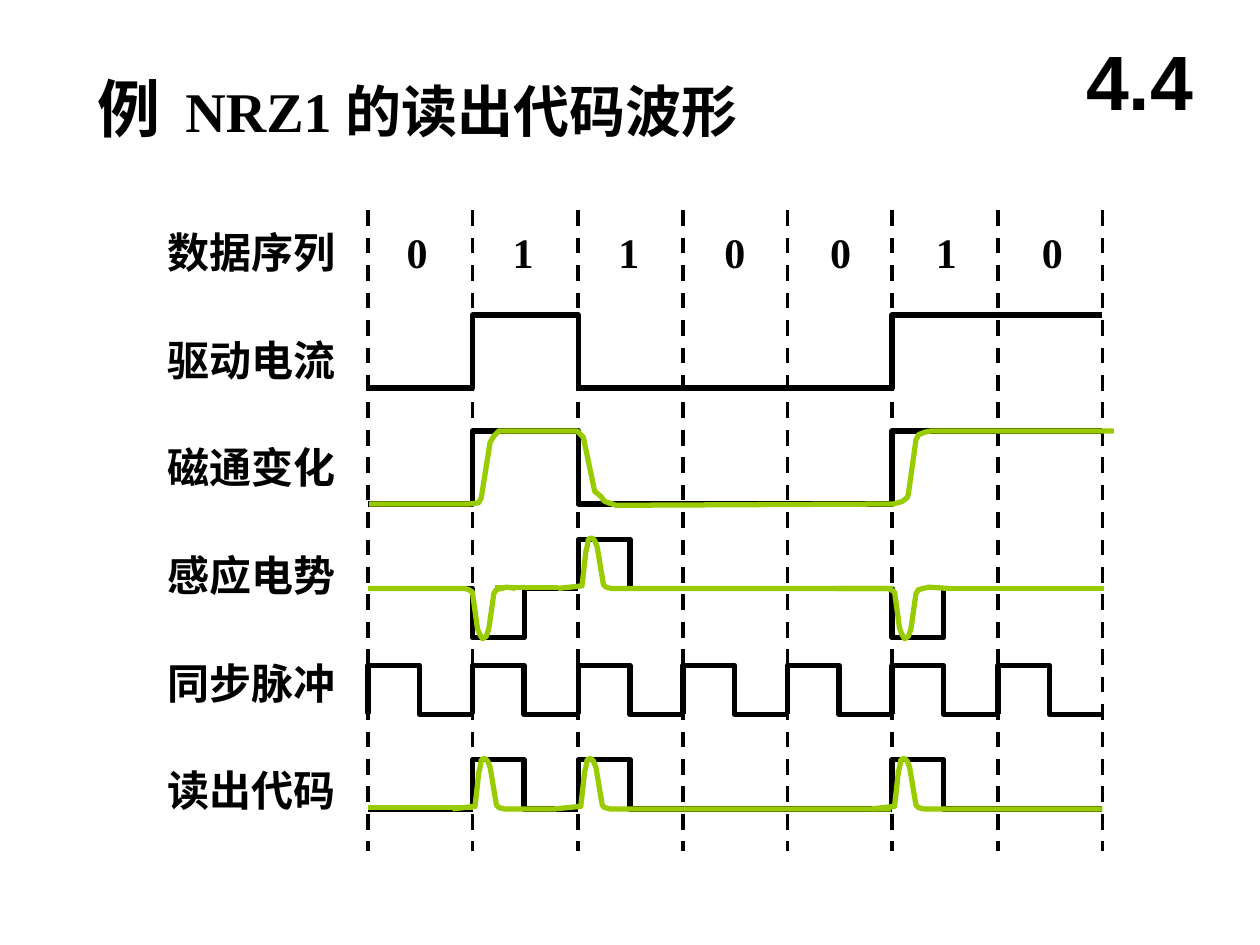
from pptx import Presentation
from pptx.dml.color import RGBColor
from pptx.enum.dml import MSO_LINE
from pptx.enum.shapes import MSO_CONNECTOR
from pptx.enum.text import MSO_ANCHOR, MSO_AUTO_SIZE, PP_ALIGN
from pptx.oxml.ns import qn
from pptx.util import Inches, Pt

BLACK = RGBColor(0x00, 0x00, 0x00)
GREEN = RGBColor(0x99, 0xCC, 0x00)

# Time grid: seven equal bit cells
LEFT, RIGHT, BITS = 2.92, 8.75, "0110010"
EDGES = [round(LEFT + (RIGHT - LEFT) * i / len(BITS), 2) for i in range(len(BITS) + 1)]
FIRST, SECOND, THIRD = EDGES[1], EDGES[2], EDGES[5]  # edges where the current flips
HALF = 0.41  # half a bit cell
PULSE = 0.39  # height of a square pulse

LABELS = ["数据序列", "驱动电流", "磁通变化", "感应电势", "同步脉冲", "读出代码"]
CURRENT_LOW, FLUX_LOW, SWING = 3.08, 4.0, 0.58
EMF_BASE, CLOCK_BASE, READ_BASE = 4.67, 5.67, 6.42

# Smooth pulses as offsets from a bit edge and from the base line
PEAK = [(0.02, -0.02), (0.05, -0.29), (0.06, -0.33), (0.07, -0.39), (0.1, -0.4),
        (0.12, -0.38), (0.14, -0.33), (0.19, -0.03), (0.21, -0.01), (0.25, 0)]
DIP = [(-0.04, 0), (-0.01, 0.01), (0.02, 0.03), (0.06, 0.32), (0.08, 0.37),
       (0.1, 0.4), (0.13, 0.38), (0.15, 0.32), (0.19, 0.04), (0.21, 0.01), (0.29, -0.01)]
FLUX = [(2.93, 4), (3.72, 4), (3.8, 3.99), (3.82, 3.95), (3.89, 3.51), (3.92, 3.46),
        (3.96, 3.42), (4.58, 3.42), (4.6, 3.44), (4.63, 3.47), (4.72, 3.9), (4.77, 3.94),
        (4.8, 3.98), (4.89, 4.01), (7.09, 4), (7.16, 3.98), (7.2, 3.95), (7.21, 3.92),
        (7.27, 3.49), (7.29, 3.45), (7.34, 3.43), (7.39, 3.42), (8.84, 3.42)]


class SlideBuilder:
    """Holds the style and the page being drawn."""

    serif, sans = "Times New Roman", "Arial"
    label_size, wave_width, grid_width = 24, 3, 2.25

    def __init__(self, page):
        self.page = page

    def fill_frame(self, frame, spans, font, align=PP_ALIGN.LEFT,
                   anchor=MSO_ANCHOR.TOP, wrap=True):
        layout = {"word_wrap": wrap, "auto_size": MSO_AUTO_SIZE.NONE, "vertical_anchor": anchor}
        for name, value in layout.items():
            setattr(frame, name, value)
        para = frame.paragraphs[0]
        para.alignment = align
        for text, size in spans:
            span = para.add_run()
            span.text = text
            for name, value in {"name": font, "size": Pt(size), "bold": True}.items():
                setattr(span.font, name, value)
            span.font.color.rgb = BLACK

    def title(self, spans, left, top, width, height):
        box = self.page.shapes.title
        place = {"left": left, "top": top, "width": width, "height": height}
        for name, value in place.items():
            setattr(box, name, Inches(value))
        self.fill_frame(box.text_frame, spans, self.serif)

    def text(self, text, left, top, width, height, size=label_size, font=serif, **layout):
        box = self.page.shapes.add_textbox(*map(Inches, (left, top, width, height)))
        self.fill_frame(box.text_frame, [(text, size)], font, **layout)

    def line(self, start, end, color=BLACK, width=wave_width, dash=None):
        line = self.page.shapes.add_connector(
            MSO_CONNECTOR.STRAIGHT, *map(Inches, (*start, *end)))
        line.line.color.rgb = color
        line.line.width = Pt(width)
        if dash:
            line.line.dash_style = dash
        properties = line._element.spPr
        properties.append(properties.makeelement(qn("a:effectLst"), {}))

    def wave(self, points, color=BLACK):
        points = [(Inches(x), Inches(y)) for x, y in points]
        builder = self.page.shapes.build_freeform(*points[0])
        builder.add_line_segments(points[1:], close=False)
        shape = builder.convert_to_shape()
        shape.fill.background()
        shape.line.color.rgb = color
        shape.line.width = Pt(self.wave_width)
        shape.shadow.inherit = False

    def square_pulse(self, start, edge, end, base, height=PULSE):
        top = base - height
        self.wave([(start, base), (edge, base), (edge, top), (edge + HALF, top),
                   (edge + HALF, base), (end, base)])

    def smooth_pulse(self, start, edge, end, base, shape):
        curve = [(edge + x, base + y) for x, y in shape]
        self.wave([(start, base), *curve, (end, base)], GREEN)


def level_wave(low):
    high = low - SWING
    return [(LEFT, low), (FIRST, low), (FIRST, high), (SECOND, high), (SECOND, low),
            (THIRD, low), (THIRD, high), (RIGHT, high)]


def main():
    deck = Presentation()
    deck.slide_width, deck.slide_height = Inches(10), Inches(7.5)
    slide = SlideBuilder(deck.slides.add_slide(deck.slide_layouts[5]))

    # Heading and section number
    slide.title([("例", 36), ("  NRZ1 的读出代码波形", 32)], 0.67, 0.5, 6.25, 0.7)
    slide.text("4.4", 8.42, 0.17, 1.25, 0.92, size=44, font=slide.sans,
               align=PP_ALIGN.CENTER, anchor=MSO_ANCHOR.MIDDLE)

    # Grid, row labels and data bits
    for x in EDGES:
        slide.line((x, 1.67), (x, 6.75), width=slide.grid_width, dash=MSO_LINE.DASH)
    for row, label in enumerate(LABELS):
        slide.text(label, 1.23, 1.75 + 0.854 * row, 1.53, 0.5, wrap=False)
    for column, bit in enumerate(BITS):
        slide.text(bit, 3.13 + 0.84 * column, 1.75, 0.36, 0.5, wrap=False)

    # Drive current and ideal flux
    for low in (CURRENT_LOW, FLUX_LOW):
        slide.wave(level_wave(low))

    # Ideal induced voltage
    slide.square_pulse(LEFT, FIRST, FIRST + HALF, EMF_BASE, -PULSE)
    slide.line((4.17, EMF_BASE), (SECOND, EMF_BASE))
    slide.square_pulse(SECOND, SECOND, 6.68, EMF_BASE)
    slide.square_pulse(6.66, THIRD, THIRD + HALF, EMF_BASE, -PULSE)
    slide.line((7.5, EMF_BASE), (RIGHT, EMF_BASE))

    # Clock
    for start, end in zip(EDGES, EDGES[1:]):
        slide.square_pulse(start, start, end, CLOCK_BASE)

    # Ideal read code
    slide.line((LEFT, READ_BASE), (FIRST, READ_BASE))
    for edge, end in ((FIRST, SECOND), (SECOND, THIRD), (THIRD, RIGHT)):
        slide.square_pulse(edge, edge, end, READ_BASE)

    # Real flux
    slide.wave(FLUX, GREEN)

    # Real read code
    slide.line((LEFT, 6.41), (FIRST, 6.41), GREEN)
    for start, edge, end in ((3.59, FIRST, 4.41), (4.4, SECOND, 7.07), (6.92, THIRD, RIGHT)):
        slide.smooth_pulse(start, edge, end, READ_BASE, PEAK)

    # Real induced voltage
    slide.smooth_pulse(LEFT, FIRST - 0.02, 4.09, EMF_BASE, DIP)
    slide.line((3.93, 4.66), (4.43, 4.66), GREEN)
    slide.smooth_pulse(4.43, SECOND + 0.01, 7.09, EMF_BASE, PEAK)
    slide.smooth_pulse(6.64, THIRD, 7.52, EMF_BASE, DIP)
    slide.line((7.51, EMF_BASE), (8.76, EMF_BASE), GREEN)

    deck.save("out.pptx")


if __name__ == "__main__":
    main()
